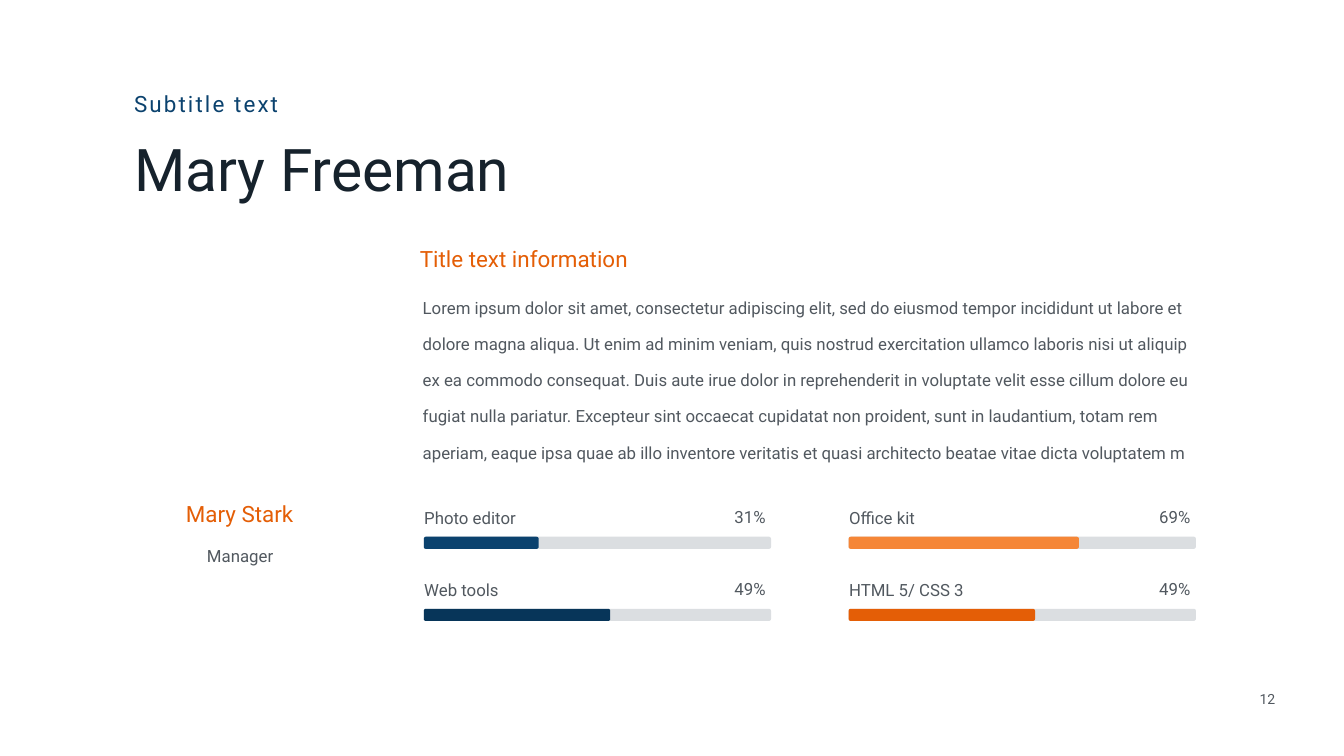
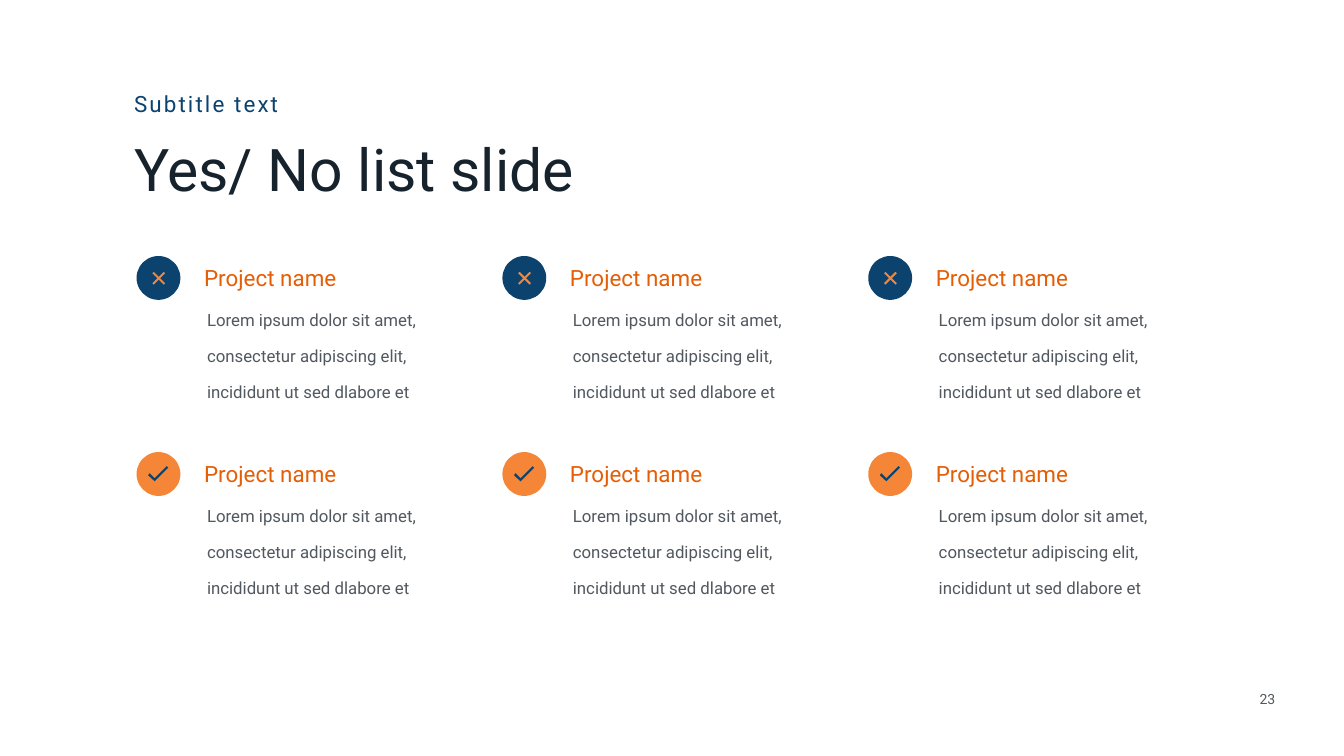
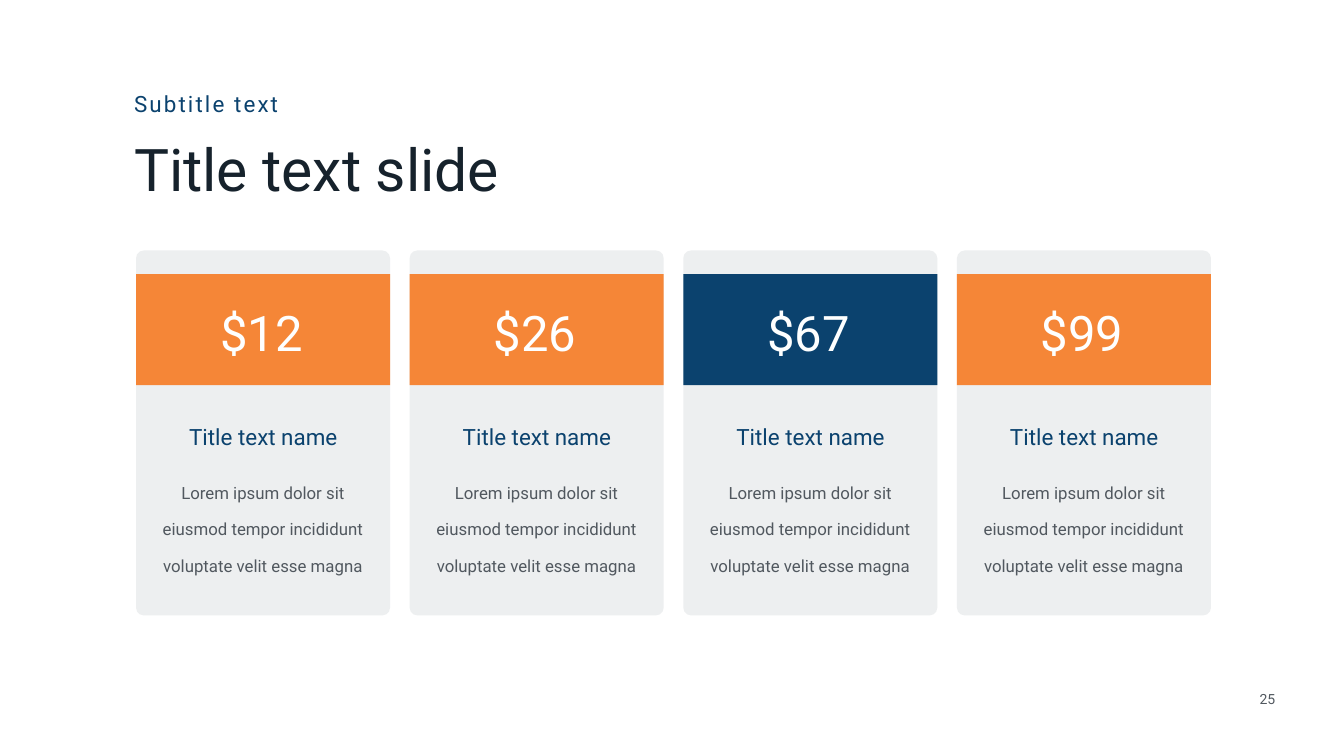
import pptx
import pptx.dml.color
import pptx.enum.shapes
import pptx.enum.text
import pptx.oxml
import pptx.oxml.ns
import pptx.util

Inches = pptx.util.Inches
Pt = pptx.util.Pt
RGB = pptx.dml.color.RGBColor
SHAPE = pptx.enum.shapes.MSO_SHAPE
ALIGN = pptx.enum.text.PP_ALIGN
ANCHOR = pptx.enum.text.MSO_ANCHOR
GROW = pptx.enum.text.MSO_AUTO_SIZE.SHAPE_TO_FIT_TEXT
FIXED = pptx.enum.text.MSO_AUTO_SIZE.NONE

# Colours
INK = RGB(0x16, 0x22, 0x2C)
GREY = RGB(0x51, 0x58, 0x5F)
PALE = RGB(0xDB, 0xDE, 0xE1)
WHITE = RGB(0xFE, 0xFF, 0xFF)
BLUE = RGB(0x0B, 0x42, 0x6E)
NAVY = RGB(0x07, 0x35, 0x59)
ORANGE = RGB(0xF5, 0x86, 0x37)
RUST = RGB(0xE4, 0x5E, 0x06)

# Text styles: size, colour and settings of the text frame
TIGHT = dict.fromkeys(
    ["margin_left", "margin_top", "margin_right", "margin_bottom"], Inches(0.04))
FLAT = {**TIGHT, "auto_size": FIXED}
STYLES = {
    "number": (20, GREY, {**TIGHT, "auto_size": GROW}),
    "title": (84, INK, FLAT),
    "subtitle": (32, BLUE, {**TIGHT, "auto_size": GROW,
                            "vertical_anchor": ANCHOR.MIDDLE}),
    "head": (32, RUST, FLAT),
    "name": (32, BLUE, FLAT),
    "price": (70, WHITE, FLAT),
    "body": (24, GREY, {"auto_size": GROW}),
}


def write(host, box, text, style, align=ALIGN.LEFT):
    size, color, frame = STYLES[style]
    area = host.add_textbox(*map(Inches, box)).text_frame
    for key, value in {"word_wrap": True, **frame}.items():
        setattr(area, key, value)
    para = area.paragraphs[0]
    para.alignment = align
    if style == "body":
        para.line_spacing = 1.8
    run = para.add_run()
    run.text = text
    for key, value in {"name": "Roboto", "size": Pt(size)}.items():
        setattr(run.font, key, value)
    run.font.color.rgb = color
    if style == "subtitle":
        run.font._element.set("spc", "300")


def draw(host, kind, box, color):
    shape = host.add_shape(kind, *map(Inches, box))
    shape.shadow.inherit = False
    shape.fill.solid()
    shape.fill.fore_color.rgb = color
    shape.line.fill.background()
    return shape


deck = pptx.Presentation()
deck.slide_width = Inches(26.67)
deck.slide_height = Inches(15)

# Page number, title and subtitle of every slide
pages = []
for number, title, width in [("12", "Mary Freeman", 8.58),
                             ("23", "Yes/ No list slide", 10.47),
                             ("25", "Title text slide", 10.47)]:
    page = deck.slides.add_slide(deck.slide_layouts[6]).shapes
    write(page, (24.66, 13.66, 0.98, 0.42), number, "number", ALIGN.CENTER)
    write(page, (2.62, 2.59, width, 1.73), title, "title")
    write(page, (2.62, 1.75, 6.12, 0.62), "Subtitle text", "subtitle")
    pages.append(page)
person, checks, prices = pages

# Slide 1: person and summary
card = person.add_group_shape().shapes
write(card, (2.55, 10.46, 4.43, 0.73), "Manager", "body", ALIGN.CENTER)
write(card, (2.85, 9.89, 3.81, 0.87), "Mary Stark", "head", ALIGN.CENTER)
write(person, (8.29, 5.53, 15.73, 3.74),
      "Lorem ipsum dolor sit amet, consectetur adipiscing elit, sed do eiusmod "
      "tempor incididunt ut labore et dolore magna aliqua. Ut enim ad minim "
      "veniam, quis nostrud exercitation ullamco laboris nisi ut aliquip ex ea "
      "commodo consequat. Duis aute irue dolor in reprehenderit in voluptate "
      "velit esse cillum dolore eu fugiat nulla pariatur. Excepteur sint "
      "occaecat cupidatat non proident, sunt in laudantium, totam rem aperiam, "
      "eaque ipsa quae ab illo inventore veritatis et quasi architecto beatae "
      "vitae dicta voluptatem m", "body")
write(person, (8.29, 4.82, 7.59, 0.87), "Title text information", "head")

# Slide 1: skill bars, two columns of two
skills = [("Photo editor", "31%", 2.28, BLUE), ("Web tools", "49%", 3.7, NAVY),
          ("Office kit", "69%", 4.57, ORANGE), ("HTML 5/ CSS 3", "49%", 3.7, RUST)]
for i, (skill, share, length, color) in enumerate(skills):
    col, row = divmod(i, 2)
    left, top = 8.41 + 8.43 * col, 10.65 + 1.43 * row
    group = person.add_group_shape().shapes
    draw(group, SHAPE.ROUNDED_RECTANGLE, (left, top, 6.89, 0.24), PALE)
    draw(group, SHAPE.ROUNDED_RECTANGLE, (left, top, length, 0.24), color)
    write(group, (left - 0.09, top - 0.95, 3.59, 0.73), skill, "body")
    write(group, (left + 3.29, top - 0.96, 3.59, 0.73), share, "body", ALIGN.RIGHT)

# Slide 2: icon outlines in hundredths of an inch
CROSS = [(0, 14), (14, 14), (14, 0), (18, 0), (18, 14), (32, 14),
         (32, 18), (18, 18), (18, 32), (14, 32), (14, 18), (0, 18)]
TICK = [(13, 24), (3, 14), (0, 18), (13, 30), (40, 3), (37, 0)]
rows = [(5.08, BLUE, ORANGE, CROSS, 0.28, 45), (8.97, ORANGE, BLUE, TICK, 0.23, 0)]

# Slide 2: three columns of yes and no items
for top, disc, mark, points, inset, turn in rows:
    for col in range(3):
        left = 2.71 + 7.26 * col
        write(checks, (left + 1.3, top + 0.69, 4.43, 2.19),
              "Lorem ipsum dolor sit amet, consectetur adipiscing elit, "
              "incididunt ut sed dlabore et", "body")
        write(checks, (left + 1.3, top + 0.12, 3.81, 0.87), "Project name", "head")
        group = checks.add_group_shape().shapes
        draw(group, SHAPE.OVAL, (left, top, 0.87, 0.87), disc)
        pen = group.build_freeform(*points[0], scale=Inches(0.01))
        pen.add_line_segments(points[1:], close=True)
        icon = pen.convert_to_shape(Inches(left + inset), Inches(top + 0.28))
        icon.shadow.inherit = False
        icon.fill.solid()
        icon.fill.fore_color.rgb = mark
        icon.line.fill.background()
        icon.rotation = turn

# Slide 3: price cards
for col, (price, color) in enumerate([("$12", ORANGE), ("$26", ORANGE),
                                      ("$67", BLUE), ("$99", ORANGE)]):
    left = 2.7 + 5.43 * col
    group = prices.add_group_shape().shapes
    panel = draw(group, SHAPE.ROUNDED_RECTANGLE, (left, 4.97, 5.04, 7.24), PALE)
    panel.adjustments[0] = 0.03
    tint = panel._element.spPr.find(".//" + pptx.oxml.ns.qn("a:srgbClr"))
    tint.append(pptx.oxml.parse_xml(
        f'<a:alpha {pptx.oxml.ns.nsdecls("a")} val="48000"/>'))
    write(group, (left, 8.36, 5.05, 0.59), "Title text name", "name", ALIGN.CENTER)
    write(group, (left + 0.37, 9.21, 4.29, 2.28),
          "Lorem ipsum dolor sit eiusmod tempor incididunt voluptate velit "
          "esse magna", "body", ALIGN.CENTER)
    draw(group, SHAPE.RECTANGLE, (left, 5.44, 5.04, 2.2), color)
    write(group, (left, 5.97, 4.97, 1.32), price, "price", ALIGN.CENTER)

deck.save("out.pptx")
